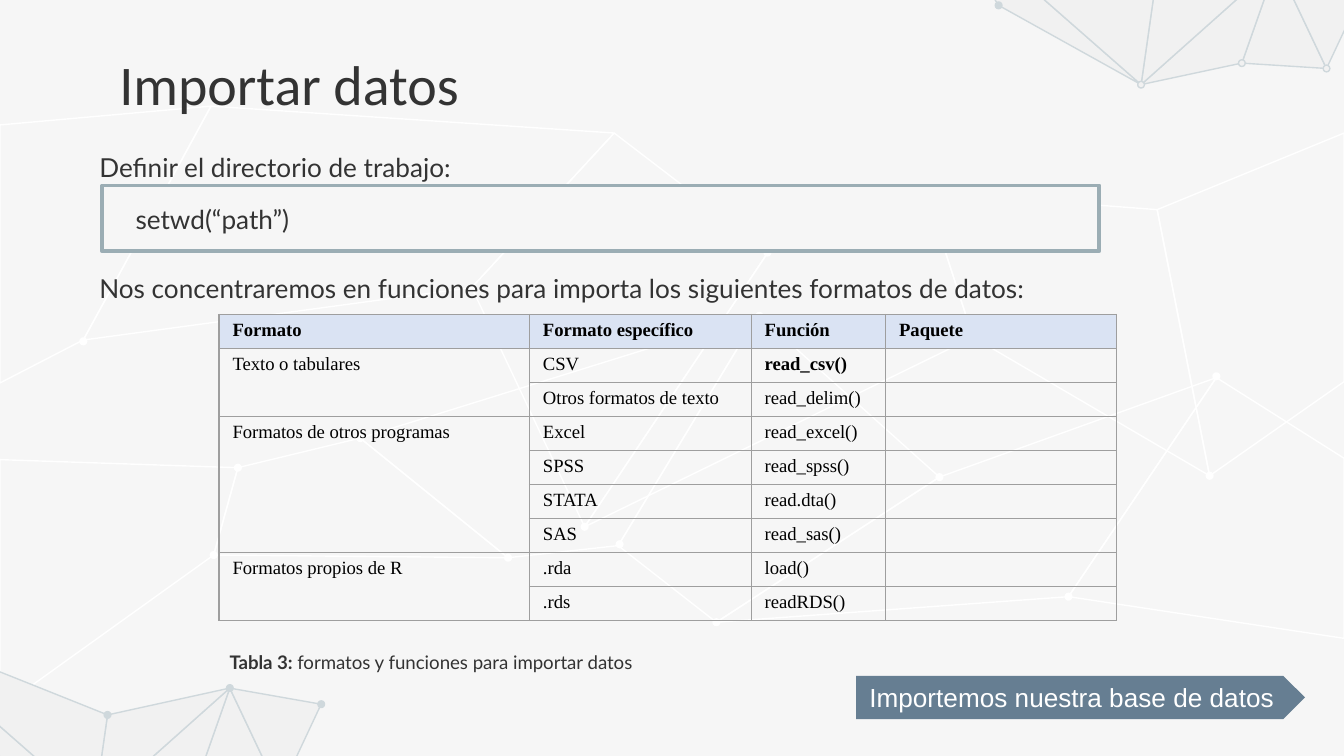
from dataclasses import dataclass

from lxml import etree
from pptx import Presentation
from pptx import util as u
from pptx.dml.color import RGBColor
from pptx.enum import shapes, text
from pptx.oxml.ns import qn


@dataclass(frozen=True)
class Theme:
    background: str = "F6F6F6"
    ink: str = "333333"
    black: str = "000000"
    white: str = "FFFFFF"
    facet: str = "F1F1F1"
    facet_line: str = "CFD8DC"
    code_line: str = "9BADB4"
    banner: str = "667E92"
    header: str = "DAE3F3"
    grid: str = "9E9E9E"
    title_size: int = 30
    body_size: int = 14
    small_size: int = 10


THEME = Theme()

# Background net: polygons and nodes, in inches from its top left corner
NET_POLYGONS = [
    [(1.57, 0.79), (0.62, 2.53), (3.51, 2.14), (4.57, 0.99)],
    [(4.35, 3.92), (5.72, 1.87), (4.57, 0.99), (3.51, 2.14)],
    [(4.35, 3.92), (7.24, 2.51), (6.89, 1.43), (5.72, 1.87)],
    [(7.24, 2.51), (9, 3.54), (8.61, 1.56), (6.89, 1.43)],
    [(0.62, 2.53), (0, 2.85), (0, 0.93), (1.57, 0.79)],
    [(10, 2.84), (9, 3.54), (8.61, 1.56), (10, 0.99)],
    [(7.95, 4.44), (9.05, 2.81), (6.99, 3.55), (5.33, 4.63)],
    [(5.64, 2.34), (4.6, 4.06), (5.33, 4.63), (6.99, 3.55)],
    [(2.68, 3.26), (1.77, 3.48), (1.59, 4.13), (3.78, 4.15)],
    [(0, 3.42), (1.77, 3.48), (1.59, 4.13), (0, 5.27)],
    [(5.64, 2.34), (2.68, 3.26), (3.78, 4.15), (4.6, 4.06)],
    [(9.05, 2.81), (10, 3.41), (10, 4.75), (7.95, 4.44)],
]
NET_NODES = [
    (5.71, 1.88), (9, 3.54), (7.24, 2.51), (4.35, 3.92), (3.51, 2.14),
    (0.62, 2.54), (3.78, 4.15), (4.61, 4.05), (1.59, 4.13), (1.77, 3.48),
    (2.68, 3.26), (5.65, 2.35), (6.99, 3.55), (9.05, 2.8), (7.95, 4.44),
    (5.33, 4.63),
]

# Corner crystal: named vertices, used in two corners
CRYSTAL = {
    "a": (0, 0), "b": (0.49, 0.77), "c": (1.55, 1.36), "d": (1.65, 0.66),
    "e": (2.3, 1.2), "f": (2.56, 0.46), "g": (3.24, 0.58), "h": (2.93, 1.24),
}
CRYSTAL_FACETS = ["efh", "cfe", "bac", "fgh", "cdf", "adc"]

TABLE_HEADER = ["Formato", "Formato específico", "Función", "Paquete"]
TABLE_GROUPS = [
    ("Texto o tabulares", [("CSV", "read_csv()"),
                           ("Otros formatos de texto", "read_delim()")]),
    ("Formatos de otros programas", [("Excel", "read_excel()"), ("SPSS", "read_spss()"),
                                     ("STATA", "read.dta()"), ("SAS", "read_sas()")]),
    ("Formatos propios de R", [(".rda", "load()"), (".rds", "readRDS()")]),
]
COLUMN_WIDTHS = [2.31, 1.65, 1, 1.72]


def color(value):
    return RGBColor.from_string(value)


def paint(shape, fill=None, line=None, width=0.75):
    shape.shadow.inherit = False
    if fill:
        shape.fill.solid()
        shape.fill.fore_color.rgb = color(fill)
    else:
        shape.fill.background()
    if line:
        shape.line.color.rgb = color(line)
        shape.line.width = u.Pt(width)
    else:
        shape.line.fill.background()


def set_font(font, name, size, ink, bold=False):
    font.name, font.size, font.bold = name, u.Pt(size), bold
    font.color.rgb = color(ink)


def write(shape, words, name="Lato", size=THEME.body_size, ink=THEME.ink,
          spacing=1.15, indent=0, anchor=text.MSO_ANCHOR.TOP):
    """Put one left-aligned paragraph in a shape and return it."""
    frame = shape.text_frame
    frame.word_wrap = True
    frame.vertical_anchor = anchor
    frame.margin_left = frame.margin_right = u.Inches(0.1)
    frame.margin_top = frame.margin_bottom = u.Inches(0.1)
    paragraph = frame.paragraphs[0]
    paragraph.alignment = text.PP_ALIGN.LEFT
    paragraph.line_spacing = spacing
    if indent:
        properties = paragraph._p.get_or_add_pPr()
        properties.set("marL", str(u.Inches(indent)))
        properties.set("indent", "0")
    paragraph.add_run().text = words
    set_font(paragraph.font, name, size, ink)
    return paragraph


def add_text(slide, box, words, **style):
    return write(slide.shapes.add_textbox(*map(u.Inches, box)), words, **style)


def add_polygon(slide, points, fill, line):
    points = [(u.Inches(x), u.Inches(y)) for x, y in points]
    builder = slide.shapes.build_freeform(*points[0])
    builder.add_line_segments(points[1:], close=True)
    paint(builder.convert_to_shape(), fill, line)


def add_node(slide, x, y, fill, line, size=0.05):
    box = (x - size / 2, y - size / 2, size, size)
    node = slide.shapes.add_shape(shapes.MSO_SHAPE.OVAL, *map(u.Inches, box))
    paint(node, fill, line)


def add_net(slide, left, top):
    for polygon in NET_POLYGONS:
        add_polygon(slide, [(left + x, top + y) for x, y in polygon], None, THEME.white)
    for x, y in NET_NODES:
        add_node(slide, left + x, top + y, THEME.white, THEME.white)


def add_crystal(slide, left, top, solid_nodes, hollow_nodes=""):
    vertices = {name: (left + x, top + y) for name, (x, y) in CRYSTAL.items()}
    for facet in CRYSTAL_FACETS:
        add_polygon(slide, [vertices[name] for name in facet], THEME.facet, THEME.facet_line)
    for names, fill in ((solid_nodes, THEME.facet_line), (hollow_nodes, THEME.facet)):
        for name in names:
            add_node(slide, *vertices[name], fill, THEME.facet_line)


def add_code_box(slide, box, words):
    shape = slide.shapes.add_shape(shapes.MSO_SHAPE.RECTANGLE, *map(u.Inches, box))
    paint(shape, THEME.background, THEME.code_line, 2)
    write(shape, words, indent=0.15)


def add_banner(slide, box, words):
    shape = slide.shapes.add_shape(shapes.MSO_SHAPE.PENTAGON, *map(u.Inches, box))
    paint(shape, THEME.banner)
    write(shape, words, name="Arial", ink=THEME.white, spacing=1,
          anchor=text.MSO_ANCHOR.MIDDLE)


def style_cell(cell, words, bold, fill):
    cell.margin_left = cell.margin_right = u.Inches(0.1)
    cell.margin_top = cell.margin_bottom = u.Inches(0.04)
    paragraph = cell.text_frame.paragraphs[0]
    if words:
        paragraph.add_run().text = words
    else:
        # An empty cell takes its height from the end mark
        etree.SubElement(paragraph._p, qn("a:endParaRPr")).set("sz", str(THEME.small_size * 100))
    set_font(paragraph.font, "Times New Roman", THEME.small_size, THEME.black, bold)
    properties = cell._tc.get_or_add_tcPr()
    for side in ("a:lnL", "a:lnR", "a:lnT", "a:lnB"):
        border = etree.SubElement(properties, qn(side), w=str(u.Pt(0.75)))
        solid = etree.SubElement(border, qn("a:solidFill"))
        etree.SubElement(solid, qn("a:srgbClr"), val=THEME.grid)
    if fill:
        cell.fill.solid()
        cell.fill.fore_color.rgb = color(fill)
    else:
        cell.fill.background()


def add_format_table(slide, box):
    rows, spans = [TABLE_HEADER], []
    for group, entries in TABLE_GROUPS:
        spans.append((len(rows), len(rows) + len(entries) - 1))
        for index, entry in enumerate(entries):
            rows.append([group if index == 0 else "", *entry, ""])
    frame = slide.shapes.add_table(len(rows), len(COLUMN_WIDTHS), *map(u.Inches, box))
    table = frame.table
    table.first_row = table.horz_banding = False
    for column, width in zip(table.columns, COLUMN_WIDTHS):
        column.width = u.Inches(width)
    for r, row in enumerate(rows):
        for c, words in enumerate(row):
            bold = r == 0 or words == "read_csv()"
            style_cell(table.cell(r, c), words, bold, THEME.header if r == 0 else None)
    for first, last in spans:
        table.cell(first, 0).merge(table.cell(last, 0))


def add_caption(slide, box, label, words):
    paragraph = add_text(slide, box, label, size=THEME.small_size, indent=0.15)
    paragraph.runs[0].font.bold = True
    paragraph.add_run().text = words


def main():
    presentation = Presentation()
    presentation.slide_width = u.Inches(10)
    presentation.slide_height = u.Inches(10 * 9 / 16)
    slide = presentation.slides.add_slide(presentation.slide_layouts[6])
    slide.background.fill.solid()
    slide.background.fill.fore_color.rgb = color(THEME.background)

    # Decoration
    add_net(slide, 0, 0)
    add_crystal(slide, -0.85, 4.66, solid_nodes="gfd")
    add_crystal(slide, 6.94, -0.73, solid_nodes="b", hollow_nodes="hec")

    # Title and working directory
    add_text(slide, (0.79, 0.27, 8.43, 0.63), "Importar datos", name="Calibri",
             size=THEME.title_size, spacing=1)
    add_text(slide, (0.64, 0.99, 7.68, 0.43), "Definir el directorio de trabajo:")
    add_code_box(slide, (0.76, 1.38, 7.42, 0.49), "setwd(“path”)")

    # Formats and functions
    add_text(slide, (0.64, 1.89, 7.68, 0.43),
             "Nos concentraremos en funciones para importa los siguientes formatos de datos:")
    add_format_table(slide, (1.63, 2.34, 6.68, 2.28))
    add_caption(slide, (1.46, 4.72, 4.03, 0.31), "Tabla 3: ",
                "formatos y funciones para importar datos")
    add_banner(slide, (6.37, 5.03, 3.34, 0.32), "Importemos nuestra base de datos")
    presentation.save("out.pptx")


if __name__ == "__main__":
    main()
